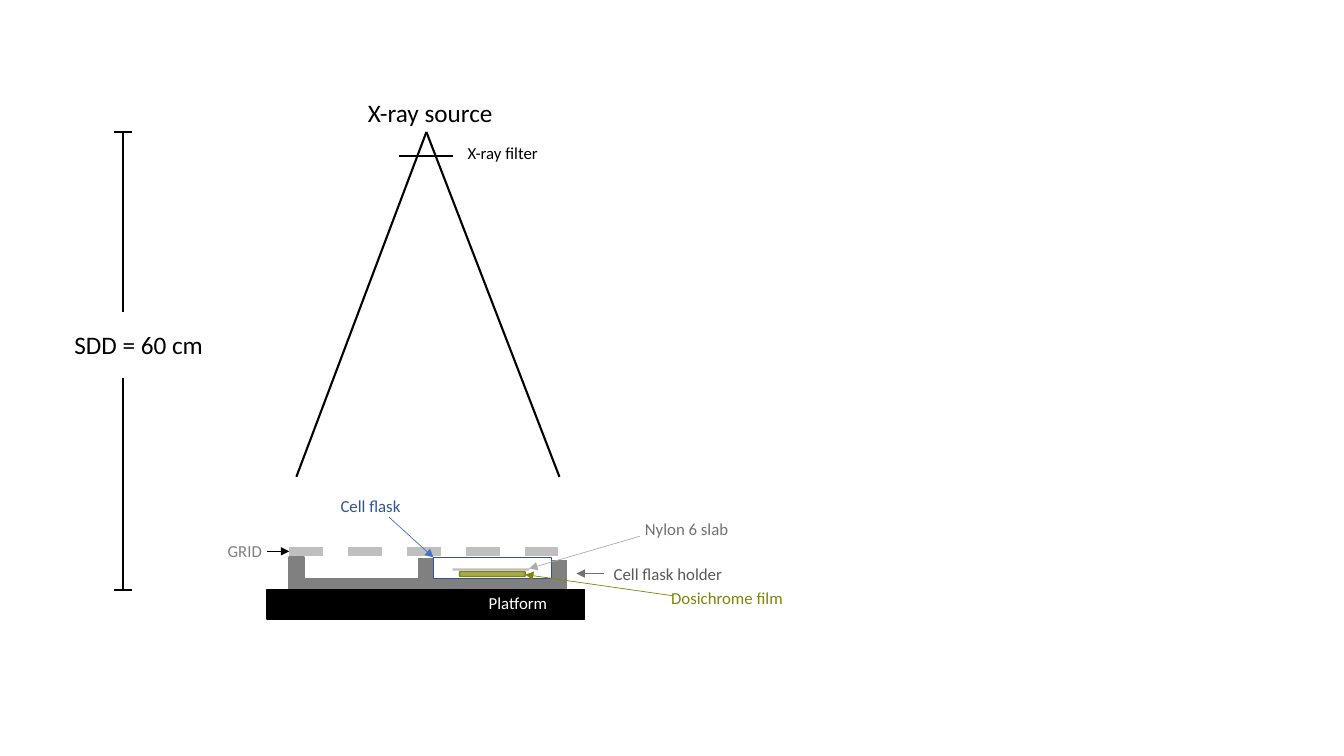
"""Build a slide showing an X-ray irradiation set-up for a cell flask."""
from lxml import etree
from pptx import Presentation
from pptx.dml.color import RGBColor
from pptx.enum.dml import MSO_LINE
from pptx.enum.shapes import MSO_CONNECTOR, MSO_SHAPE
from pptx.enum.text import MSO_AUTO_SIZE
from pptx.oxml.ns import qn
from pptx.util import Pt

RECTANGLE = MSO_SHAPE.RECTANGLE
ROUNDED = MSO_SHAPE.ROUNDED_RECTANGLE
STRAIGHT = MSO_CONNECTOR.STRAIGHT
DASH = MSO_LINE.DASH
FIT_SHAPE = MSO_AUTO_SIZE.SHAPE_TO_FIT_TEXT

BLACK = RGBColor(0x00, 0x00, 0x00)
WHITE = RGBColor(0xFF, 0xFF, 0xFF)
HOLDER_GRAY = RGBColor(0x80, 0x80, 0x80)
GRID_GRAY = RGBColor(0xBF, 0xBF, 0xBF)
SLAB_GRAY = RGBColor(0xAF, 0xAB, 0xAB)
WARM_GRAY = RGBColor(0x76, 0x71, 0x71)
DARK_GRAY = RGBColor(0x59, 0x59, 0x59)
OLIVE = RGBColor(0x80, 0x86, 0x08)
FLASK_EDGE = RGBColor(0x32, 0x54, 0x91)
FLASK_TEXT = RGBColor(0x2F, 0x55, 0x97)
FLASK_ARROW = RGBColor(0x44, 0x72, 0xC4)

deck = Presentation()
deck.slide_width, deck.slide_height = Pt(960), Pt(540)
page = deck.slides.add_slide(deck.slide_layouts[6])


def set_opacity(paint, percent):
    color = next(paint.iter(qn("a:srgbClr")))
    etree.SubElement(color, qn("a:alpha"), val=str(percent * 1000))


def add_line(start, end, color, width, arrow=False):
    line = page.shapes.add_connector(STRAIGHT, *map(Pt, start + end))
    line.line.color.rgb = color
    line.line.width = Pt(width)
    properties = line._element.spPr
    if arrow:
        etree.SubElement(properties.find(qn("a:ln")), qn("a:tailEnd"), type="triangle")
    etree.SubElement(properties, qn("a:effectLst"))
    return line


parts = [
    (RECTANGLE, 393.8, 400.3, 10.8, 20.9, HOLDER_GRAY, HOLDER_GRAY, 1),
    (RECTANGLE, 298.8, 398.9, 10.8, 20.9, HOLDER_GRAY, HOLDER_GRAY, 1),
    (RECTANGLE, 206.6, 398.2, 10.8, 22.3, HOLDER_GRAY, HOLDER_GRAY, 1.5),
    (RECTANGLE, 206.6, 413.3, 197.3, 7.2, HOLDER_GRAY, HOLDER_GRAY, 1),
    (RECTANGLE, 190.8, 421.2, 226.8, 20.9, BLACK, BLACK, 1),
    (RECTANGLE, 309.6, 398.2, 84.2, 15.1, WHITE, FLASK_EDGE, 1),
    (ROUNDED, 328.3, 408.2, 46.8, 3.6, OLIVE, OLIVE, 1),
]
for kind, left, top, width, height, fill, edge, weight in parts:
    part = page.shapes.add_shape(kind, Pt(left), Pt(top), Pt(width), Pt(height))
    part.shadow.inherit = False
    part.fill.solid()
    part.fill.fore_color.rgb = fill
    part.line.color.rgb = edge
    part.line.width = Pt(weight)
    if kind == ROUNDED:
        set_opacity(part._element.spPr.find(qn("a:solidFill")), 70)

grid = add_line((206.6, 393.8), (404.6, 393.8), GRID_GRAY, 6)
grid.line.dash_style = DASH
slab = add_line((323.3, 406.8), (378, 406.8), SLAB_GRAY, 1.5)
set_opacity(slab._element.spPr.find(qn("a:ln")), 78)

source = (304.6, 94.3)
outlines = [
    ((87.8, 94.3), (87.8, 223.2)),
    ((87.8, 270), (87.8, 421.2)),
    ((81.4, 94.3), (94.3, 94.3)),
    ((81.4, 421.2), (94.3, 421.2)),
    (source, (211.7, 340.6)),
    (source, (399.6, 340.6)),
    ((285.1, 111.6), (323.3, 111.6)),
]
for start, end in outlines:
    add_line(start, end, BLACK, 1.5)

arrows = [
    ((480.2, 425.5), (375.1, 410.4), OLIVE, 0.5),
    ((277.9, 369.4), (309.6, 398.2), FLASK_ARROW, 0.5),
    ((190.8, 393.8), (206.6, 393.8), BLACK, 0.75),
    ((457.2, 383), (378, 406.1), SLAB_GRAY, 0.5),
    ((431.3, 409.7), (411.8, 409.7), WARM_GRAY, 0.5),
]
for start, end, color, width in arrows:
    add_line(start, end, color, width, arrow=True)

labels = [
    ("SDD = 60 cm", 46.1, 231.8, 118.1, 18, BLACK),
    ("X-ray source", 255.6, 66.2, 143.3, 18, BLACK),
    ("X-ray filter", 326.9, 98.6, 99.4, 12, BLACK),
    ("Cell flask", 236.2, 350.6, 83.5, 12, FLASK_TEXT),
    ("Nylon 6 slab", 453.6, 367.2, 97.9, 12, WARM_GRAY),
    ("GRID", 155.5, 383, 64.1, 12, HOLDER_GRAY),
    ("Cell flask holder", 431.3, 398.9, 144.7, 12, DARK_GRAY),
    ("Dosichrome film", 472.3, 416.2, 154.1, 12, OLIVE),
    ("Platform", 342, 419.8, 100.1, 12, WHITE),
]
for text, left, top, width, size, color in labels:
    height = 29 if size == 18 else 21.8
    box = page.shapes.add_textbox(Pt(left), Pt(top), Pt(width), Pt(height))
    frame = box.text_frame
    frame.word_wrap = True
    frame.auto_size = FIT_SHAPE
    para = frame.paragraphs[0]
    para.text = text
    para.font.name = "Calibri"
    para.font.size = Pt(size)
    para.font.color.rgb = color

deck.save("out.pptx")
